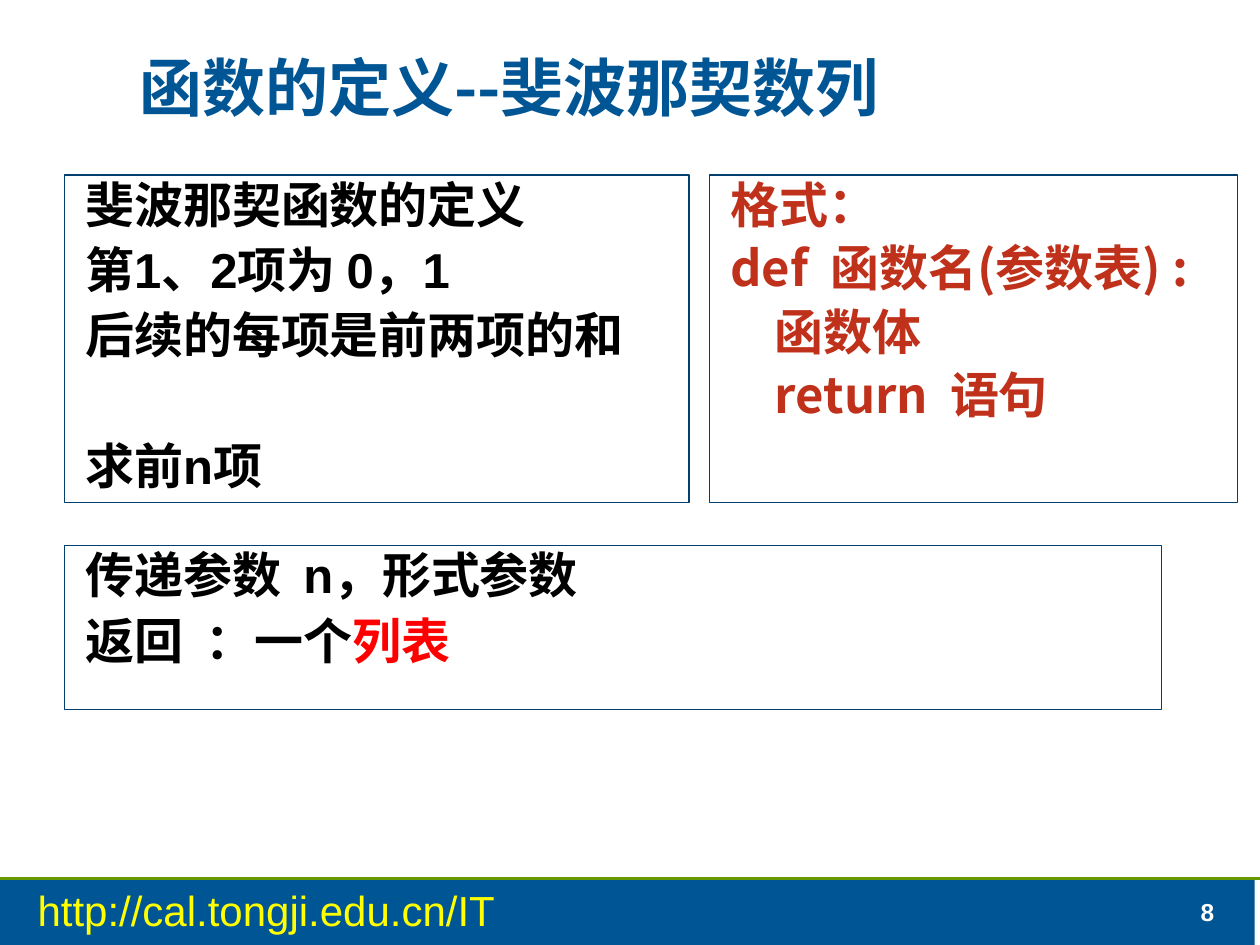
from lxml.etree import SubElement
from pptx import Presentation
from pptx.dml.color import RGBColor
from pptx.enum.lang import MSO_LANGUAGE_ID
from pptx.enum.shapes import MSO_CONNECTOR, MSO_SHAPE
from pptx.enum.text import MSO_ANCHOR, PP_ALIGN
from pptx.oxml.ns import qn
from pptx.util import Pt


def color(value):
    return RGBColor.from_string(value)


def apply(target, formats):
    for name, value in formats.items():
        setattr(target, name, value)


class SlideBuilder:
    blue = "005595"
    border = "003F6E"
    green = "669900"
    white = "FFFFFF"
    yellow = "FFFF00"
    black = "000000"
    red = "FF0000"
    brick = "BF311A"
    latin = "Arial"
    chinese = "Noto Sans CJK SC"
    japanese = "Noto Sans CJK JP"

    def __init__(self, deck):
        self.page = deck.slides.add_slide(deck.slide_layouts[6])

    def add_span(self, para, text, size, ink, bold=True, font=latin, asian=chinese):
        span = para.add_run()
        span.text = text
        apply(span.font, {
            "name": font, "size": Pt(size), "bold": bold,
            "language_id": MSO_LANGUAGE_ID.SIMPLIFIED_CHINESE,
        })
        span.font.color.rgb = color(ink)
        SubElement(span.font._element, qn("a:ea")).set("typeface", asian)

    def bar(self, left, top, width, height, fill, line=None):
        box = self.page.shapes.add_shape(
            MSO_SHAPE.RECTANGLE, Pt(left), Pt(top), Pt(width), Pt(height))
        box.shadow.inherit = False
        box.fill.solid()
        box.fill.fore_color.rgb = color(fill)
        if line:
            box.line.color.rgb = color(line)
            box.line.width = Pt(0.75)
        else:
            box.line.fill.background()
        return box

    def rule(self, left, top, right, ink, width):
        line = self.page.shapes.add_connector(
            MSO_CONNECTOR.STRAIGHT, Pt(left), Pt(top), Pt(right), Pt(top))
        line.line.color.rgb = color(ink)
        line.line.width = Pt(width)
        SubElement(line._element.spPr, qn("a:effectLst"))

    def label(self, left, top, width, height, text, size, ink,
              frame=None, spacing=None, **style):
        box = self.page.shapes.add_textbox(Pt(left), Pt(top), Pt(width), Pt(height))
        apply(box.text_frame, {"word_wrap": True, **(frame or {})})
        para = box.text_frame.paragraphs[0]
        para.line_spacing = spacing
        self.add_span(para, text, size, ink, **style)

    def panel(self, left, top, width, height, lines, before, ink, **style):
        box = self.bar(left, top, width, height, self.white, self.border)
        frame = box.text_frame
        apply(frame, {"word_wrap": True, "vertical_anchor": MSO_ANCHOR.TOP})
        for index, (spans, extra) in enumerate(lines):
            para = frame.add_paragraph() if index else frame.paragraphs[0]
            apply(para, {
                "alignment": PP_ALIGN.LEFT, "line_spacing": 0.9,
                "space_before": Pt(before + extra if index else 0),
            })
            para._p.get_or_add_pPr().set("marL", str(Pt(5)))
            for text, accent in spans:
                self.add_span(para, text, 28, accent or ink, **style)


def plain(text, extra=0):
    return [(text, None)], extra


def main():
    deck = Presentation()
    apply(deck, {"slide_width": Pt(720), "slide_height": Pt(540)})
    slide = SlideBuilder(deck)
    footer_top, panel_left, panel_top, panel_height = 502, 36.7, 100, 187.2

    slide.bar(0, footer_top, 717, 38, slide.blue)
    slide.rule(0, footer_top, 720, slide.green, 2)
    slide.label(679, 508.3, 38, 24.5, "8", 14, slide.white,
                {"word_wrap": False, "vertical_anchor": MSO_ANCHOR.BOTTOM})
    slide.label(14.4, footer_top, 283.7, 36, "http://cal.tongji.edu.cn/IT",
                24, slide.yellow, bold=False)
    slide.label(48.2, 26.6, 628.6, 49, "函数的定义--斐波那契数列", 36, slide.blue,
                {"vertical_anchor": MSO_ANCHOR.BOTTOM, "margin_left": Pt(31.4)},
                spacing=0.95, font=slide.chinese)

    slide.panel(panel_left, panel_top, 357, panel_height, [
        plain("斐波那契函数的定义"),
        plain("第1、2项为 0，1"),
        plain("后续的每项是前两项的和"),
        plain("求前n项", 37.5),
    ], 7, slide.black)
    slide.panel(panel_left, 311.6, 627, 93.8, [
        plain("传递参数  n，形式参数"),
        ([("返回  ：一个", None), ("列表", slide.red)], 0),
    ], 7, slide.black)
    slide.panel(405.3, panel_top, 302, panel_height, [
        plain("格式："),
        plain("def  函数名(参数表) :"),
        plain("    函数体"),
        plain("    return  语句"),
    ], 6, slide.brick, font=slide.japanese, asian=slide.japanese)

    deck.save("out.pptx")


if __name__ == "__main__":
    main()
